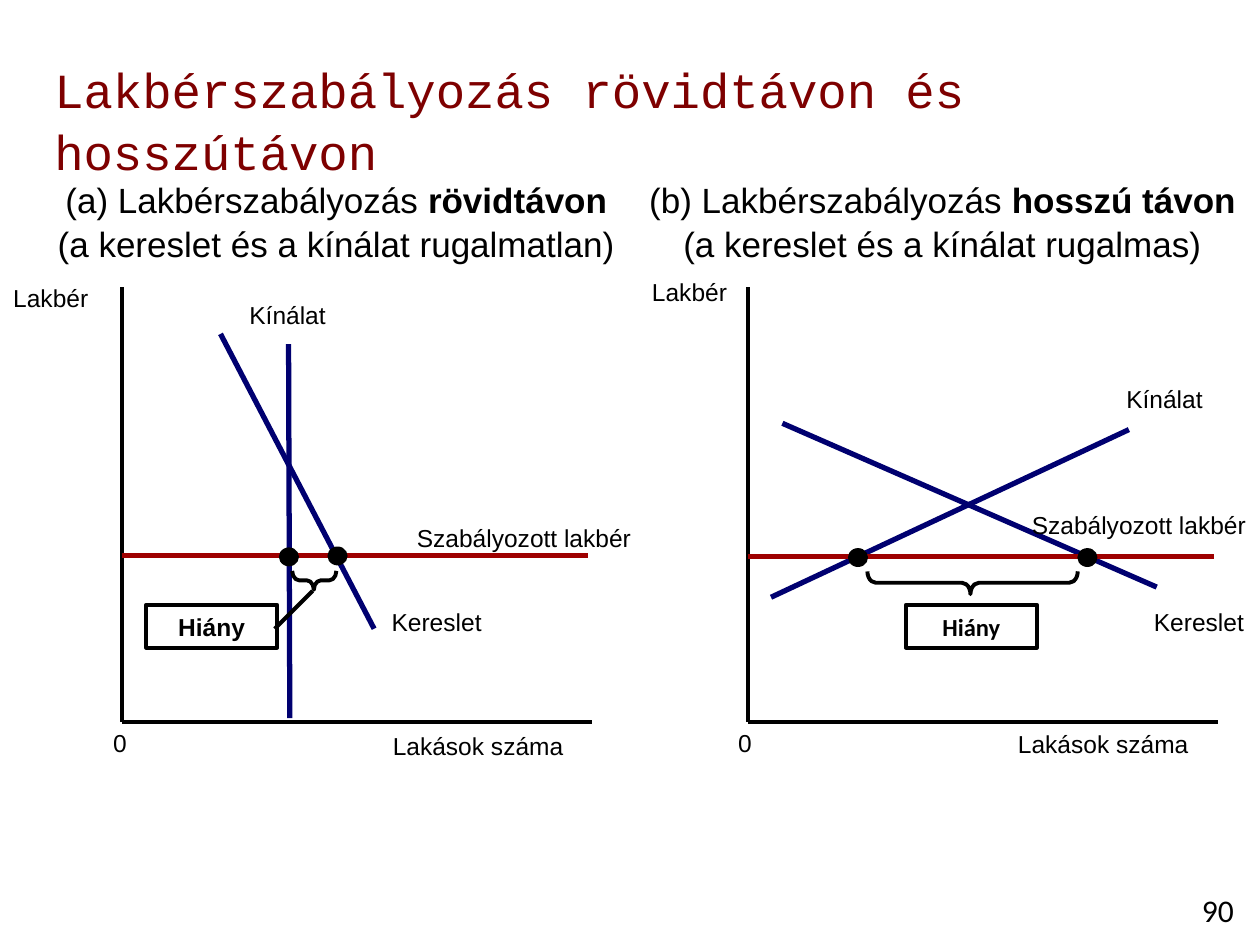
from lxml import etree
from pptx import Presentation
from pptx.dml.color import RGBColor
from pptx.enum.shapes import MSO_CONNECTOR, MSO_SHAPE
from pptx.enum.text import MSO_ANCHOR, PP_ALIGN
from pptx.oxml.ns import qn
from pptx.util import Pt

LEFT, CENTER, RIGHT = PP_ALIGN.LEFT, PP_ALIGN.CENTER, PP_ALIGN.RIGHT
TOP, MIDDLE = MSO_ANCHOR.TOP, MSO_ANCHOR.MIDDLE

BLACK, NAVY, RED, MAROON = "000000", "000070", "9E0000", "7E0000"
TITLE = "Lakbérszabályozás rövidtávon és hosszútávon"
PAGE_NUMBER = "90"

AXIS_TOP, AXIS_BOTTOM, AXIS_LENGTH = 164.2, 412.6, 268.6
RENT_LENGTH, LABEL_H = 266.4, 24.5
DOT_W, DOT_H = 11.5, 10.8
BOX_W, BOX_TOP = 74.9, 345.6

# Lines are (x1, y1, x2, y2), labels (left, top, width), braces (centre x, centre y, span, depth)
PANELS = [
    {
        "caption": (("(a) Lakbérszabályozás ", "rövidtávon"), "(a kereslet és a kínálat rugalmatlan)"),
        "caption_at": (-6.5, 397.4),
        "origin": 69.8,
        "rent_y": 317.5,
        "curves": [(126, 190.8, 213.8, 359.3), (165.6, 410.4, 164.9, 196.6)],
        "labels": {"Lakbér": (0, 158.4, 57.6), "Kínálat": (135.4, 167.8, 58.3),
                   "Szabályozott lakbér": (231.1, 295.2, 137.5), "Kereslet": (216.7, 343.4, 67.7),
                   "0": (57.6, 412.6, 22.3), "Lakások száma": (217.4, 414, 112.3)},
        "dots": [(165.1, 318.2), (192.9, 317.7)],
        "brace": (179.6, 331.6, 25.2, 10.8),
        "shortage_left": 83.5,
        "shortage_font": "Arial",
        "pointers": [(157, 359.3, 178.6, 337.7)],
    },
    {
        "caption": (("(b) Lakbérszabályozás ", "hosszú távon"), "(a kereslet és a kínálat rugalmas)"),
        "caption_at": (337.7, 401.8),
        "origin": 427.3,
        "rent_y": 318.2,
        "curves": [(447.1, 241.9, 661, 335.5), (440.6, 341.3, 645.1, 245.5)],
        "labels": {"Lakbér": (365, 154.8, 57.6), "Kínálat": (636.5, 216, 58.3),
                   "Szabályozott lakbér": (582.5, 288, 137.5), "Kereslet": (652.3, 343.4, 67.7),
                   "0": (414.7, 412.6, 22.3), "Lakások száma": (574.6, 413.3, 112.3)},
        "dots": [(490.3, 318.6), (621.4, 318.6)],
        "brace": (555.8, 333, 120.2, 13),
        "shortage_left": 517.7,
        "shortage_font": "Calibri",
        "pointers": [],
    },
]


def rgb(value):
    return RGBColor.from_string(value)


def style(p, size, font="Arial", color=BLACK, align=LEFT, bold=None):
    p.alignment = align
    p.font.size, p.font.name, p.font.bold = Pt(size), font, bold
    p.font.color.rgb = rgb(color)


def add_text(s, text, x, y, w, h, size, font="Arial", align=LEFT, wrap=False):
    tf = s.shapes.add_textbox(Pt(x), Pt(y), Pt(w), Pt(h)).text_frame
    tf.word_wrap = wrap
    tf.text = text
    style(tf.paragraphs[0], size, font, align=align)


def add_line(s, points, color, width):
    line = s.shapes.add_connector(MSO_CONNECTOR.STRAIGHT, *map(Pt, points))
    line.line.color.rgb = rgb(color)
    line.line.width = Pt(width)
    etree.SubElement(line._element.spPr, qn("a:effectLst"))


def add_shape(s, kind, x, y, w, h, fill=None):
    """Add a shape that is either filled without a line, or outlined without a fill."""
    sp = s.shapes.add_shape(kind, Pt(x), Pt(y), Pt(w), Pt(h))
    sp.shadow.inherit = False
    if fill:
        sp.fill.solid()
        sp.fill.fore_color.rgb = rgb(fill)
        sp.line.fill.background()
    else:
        sp.fill.background()
        sp.line.color.rgb = rgb(BLACK)
        sp.line.width = Pt(2.25)
    return sp


def add_title(s):
    title = s.shapes.title
    title.left, title.top, title.width, title.height = Pt(23.8), Pt(23.8), Pt(696.2), Pt(41.8)
    tf = title.text_frame
    tf.text = TITLE
    tf.word_wrap = True
    tf.vertical_anchor = TOP
    tf.margin_top = Pt(8)
    p = tf.paragraphs[0]
    p.line_spacing = 1.06
    style(p, 28, "Courier New", MAROON)


def add_caption(s, lines, x, w):
    (lead, strong), second = lines
    tf = s.shapes.add_textbox(Pt(x), Pt(97.2), Pt(w), Pt(65.5)).text_frame
    tf.word_wrap = True
    p = tf.paragraphs[0]
    p.add_run().text = lead
    r = p.add_run()
    r.text = strong
    r.font.bold = True
    tf.add_paragraph().text = second
    for p in tf.paragraphs:
        p.line_spacing = 1.05
        style(p, 20, align=CENTER)


def add_shortage(s, panel):
    sp = add_shape(s, MSO_SHAPE.RECTANGLE, panel["shortage_left"], BOX_TOP, BOX_W, LABEL_H)
    tf = sp.text_frame
    tf.text = "Hiány"
    tf.vertical_anchor = MIDDLE
    style(tf.paragraphs[0], 14, panel["shortage_font"], align=CENTER, bold=True)

    cx, cy, span, depth = panel["brace"]
    brace = add_shape(s, MSO_SHAPE.LEFT_BRACE, cx - depth / 2, cy - span / 2, depth, span)
    brace.rotation = 270
    brace.adjustments[0], brace.adjustments[1] = 0.37, 0.49
    for pointer in panel["pointers"]:
        add_line(s, pointer, BLACK, 2.25)


def add_panel(s, panel):
    x, rent_y = panel["origin"], panel["rent_y"]
    add_caption(s, panel["caption"], *panel["caption_at"])
    add_line(s, (x, AXIS_TOP, x, AXIS_BOTTOM), BLACK, 2.25)
    add_line(s, (x, AXIS_BOTTOM, x + AXIS_LENGTH, AXIS_BOTTOM), BLACK, 2.25)
    for curve in panel["curves"]:
        add_line(s, curve, NAVY, 3)
    add_line(s, (x, rent_y, x + RENT_LENGTH, rent_y), RED, 3)
    for text, (left, top, width) in panel["labels"].items():
        add_text(s, text, left, top, width, LABEL_H, 14, align=RIGHT if text == "Lakbér" else LEFT)
    for cx, cy in panel["dots"]:
        add_shape(s, MSO_SHAPE.OVAL, cx - DOT_W / 2, cy - DOT_H / 2, DOT_W, DOT_H, BLACK)
    add_shortage(s, panel)


def main():
    prs = Presentation()
    prs.slide_width, prs.slide_height = Pt(720), Pt(540)
    s = prs.slides.add_slide(prs.slide_layouts[5])
    add_title(s)
    for panel in PANELS:
        add_panel(s, panel)
    add_text(s, PAGE_NUMBER, 671.8, 505.4, 48.2, 28.8, 18, "Calibri", CENTER, wrap=True)
    prs.save("out.pptx")


if __name__ == "__main__":
    main()
